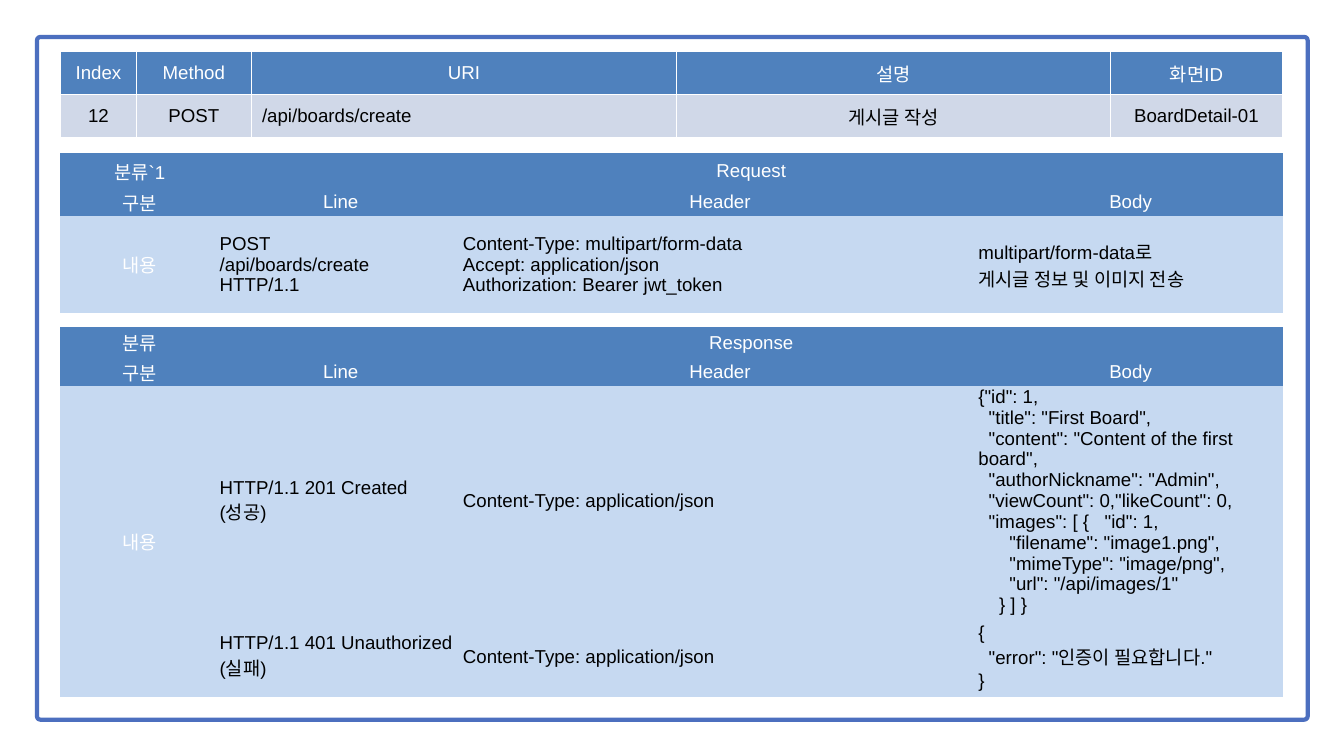
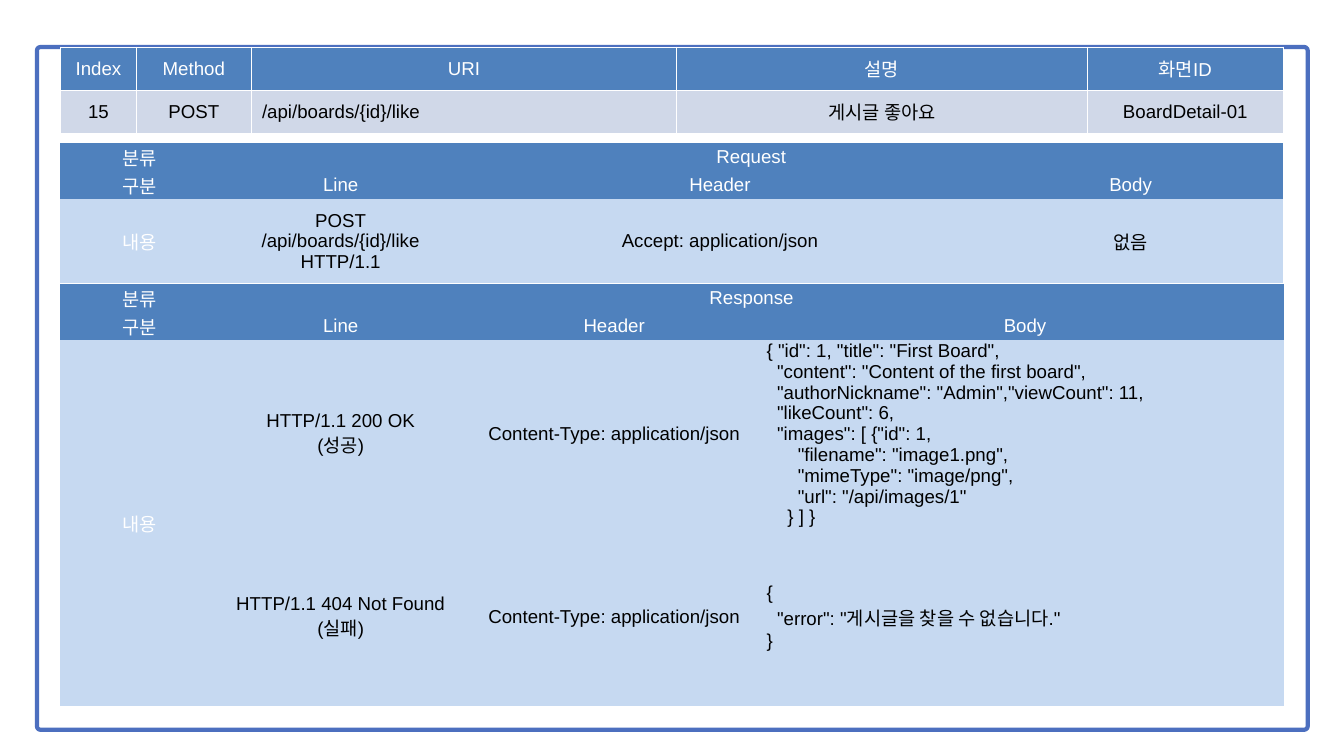
from lxml.etree import SubElement
from pptx import Presentation
from pptx.dml.color import RGBColor
from pptx.enum.shapes import MSO_SHAPE
from pptx.enum.text import MSO_ANCHOR, PP_ALIGN
from pptx.oxml.ns import qn
from pptx.util import Inches, Pt

WHITE, BLACK, FRAME = "FFFFFF", "000000", "4C6FBF"
HEAD, SUMMARY, CONTENT = "4F81BD", "D0D8E8", "C6D9F1"
LEFT, WIDTH = 0.9, 18.21
FRAME_BOX = dict(left=0.55, width=18.91, height=10.16)
SUMMARY_HEAD = ["Index", "Method", "URI", "설명", "화면ID"]
PART_HEAD = ["구분", "Line", "Header", "Body"]
WIDE_HEADER = [2.36, 3.62, 7.67, 4.55]
WIDE_BODY = [2.36, 3.62, 4.52, 7.71]
JSON_TYPE = "Content-Type: application/json"

PAGES = [
    dict(
        frame_top=0.55, align=PP_ALIGN.LEFT,
        summary=dict(top=0.77, cols=[1.13, 1.71, 6.33, 6.45, 2.57],
                     row=["12", "POST", "/api/boards/create", "게시글 작성", "BoardDetail-01"]),
        parts=[
            dict(label="분류`1", name="Request", top=2.28, height=2.34,
                 cols=WIDE_HEADER, rows=[0.52, 0.39, 1.44],
                 content=[["POST\n/api/boards/create\nHTTP/1.1",
                           "Content-Type: multipart/form-data\nAccept: application/json\n"
                           "Authorization: Bearer jwt_token",
                           "multipart/form-data로\n게시글 정보 및 이미지 전송"]]),
            dict(label="분류", name="Response", top=4.86, height=5.7,
                 cols=WIDE_HEADER, rows=[0.47, 0.35, 3.32, 1.21],
                 content=[["HTTP/1.1 201 Created\n(성공)", JSON_TYPE, """{"id": 1,
  "title": "First Board",
  "content": "Content of the first board",
  "authorNickname": "Admin",
  "viewCount": 0,"likeCount": 0,
  "images": [ {   "id": 1,
      "filename": "image1.png",
      "mimeType": "image/png",
      "url": "/api/images/1"
    } ] }"""],
                          ["HTTP/1.1 401 Unauthorized\n(실패)", JSON_TYPE, """{
  "error": "인증이 필요합니다."
}"""]]),
        ]),
    dict(
        frame_top=0.7, align=PP_ALIGN.CENTER,
        summary=dict(top=0.7, cols=[1.13, 1.71, 6.33, 6.11, 2.92],
                     row=["15", "POST", "/api/boards/{id}/like", "게시글 좋아요", "BoardDetail-01"]),
        parts=[
            dict(label="분류", name="Request", top=2.13, height=1.95,
                 cols=WIDE_HEADER, rows=[0.25, 0.23, 1.26],
                 content=[["POST\n/api/boards/{id}/like HTTP/1.1",
                           "Accept: application/json", "없음"]]),
            dict(label="분류", name="Response", top=4.23, height=6.34,
                 cols=WIDE_BODY, rows=[0.33, 0.33, 2.65, 2.65],
                 content=[["HTTP/1.1 200 OK\n(성공)", JSON_TYPE, """{ "id": 1, "title": "First Board",
  "content": "Content of the first board",
  "authorNickname": "Admin","viewCount": 11,
  "likeCount": 6,
  "images": [ {"id": 1,
      "filename": "image1.png",
      "mimeType": "image/png",
      "url": "/api/images/1"
    } ] }"""],
                          ["HTTP/1.1 404 Not Found\n(실패)", JSON_TYPE, """{
  "error": "게시글을 찾을 수 없습니다."
}"""]]),
        ]),
]


def rgb(value):
    return RGBColor.from_string(value)


def set_borders(cell, width):
    """Give all four sides a white line, or none when width is 0."""
    tcPr = cell._tc.get_or_add_tcPr()
    for i, side in enumerate("LRTB"):
        ln = SubElement(tcPr, qn(f"a:ln{side}"), w=str(Pt(width)))
        if width:
            SubElement(SubElement(ln, qn("a:solidFill")), qn("a:srgbClr"), val=WHITE)
        else:
            SubElement(ln, qn("a:noFill"))
        tcPr.insert(i, ln)


def style_cell(cell, text, fill, color=WHITE, align=PP_ALIGN.CENTER,
               margins=(0.01, 0.01, 0.01, 0), border=0):
    cell.text = text
    cell.vertical_anchor = MSO_ANCHOR.MIDDLE
    for side, margin in zip(("left", "top", "right", "bottom"), margins):
        setattr(cell, f"margin_{side}", Inches(margin))
    cell.fill.solid()
    cell.fill.fore_color.rgb = rgb(fill)
    set_borders(cell, border)
    for p in cell.text_frame.paragraphs:
        p.alignment = align
        for r in p.runs:
            r.font.name, r.font.size = "Arial", Pt(20)
            r.font.color.rgb = rgb(color)


def add_grid(s, top, height, cols, rows):
    shape = s.shapes.add_table(len(rows), len(cols), Inches(LEFT), Inches(top),
                               Inches(WIDTH), Inches(height))
    for col, width in zip(shape.table.columns, cols):
        col.width = Inches(width)
    for row, row_height in zip(shape.table.rows, rows):
        row.height = Inches(row_height)
    shape.height = Inches(height)
    return shape.table


def add_frame(s, top):
    box = s.shapes.add_shape(MSO_SHAPE.ROUNDED_RECTANGLE, Inches(FRAME_BOX["left"]), Inches(top),
                             Inches(FRAME_BOX["width"]), Inches(FRAME_BOX["height"]))
    box.adjustments[0] = 0.005
    box.shadow.inherit = False
    box.fill.solid()
    box.fill.fore_color.rgb = rgb(WHITE)
    box.line.color.rgb = rgb(FRAME)
    box.line.width = Pt(4.5)


def add_part(s, part, align):
    """Add a request or response table."""
    table = add_grid(s, part["top"], part["height"], part["cols"], part["rows"])
    for r, texts in enumerate([[part["label"], part["name"], "", ""], PART_HEAD]):
        for c, text in enumerate(texts):
            style_cell(table.cell(r, c), text, HEAD)
    table.cell(0, 1).merge(table.cell(0, 3))
    for r, texts in enumerate(part["content"], 2):
        style_cell(table.cell(r, 0), "내용" if r == 2 else "", CONTENT)
        for c, text in enumerate(texts, 1):
            text_align = PP_ALIGN.LEFT if text.startswith("{") else align
            style_cell(table.cell(r, c), text, CONTENT, BLACK, text_align)
    if len(part["content"]) > 1:
        table.cell(2, 0).merge(table.cell(len(part["rows"]) - 1, 0))


def add_summary(s, summary):
    table = add_grid(s, summary["top"], 1.28, summary["cols"], [0.64, 0.64])
    look = dict(margins=(0.16, 0.08, 0.16, 0.08), border=1)
    for c, (head, text) in enumerate(zip(SUMMARY_HEAD, summary["row"])):
        style_cell(table.cell(0, c), head, HEAD, **look)
        align = PP_ALIGN.LEFT if head == "URI" else PP_ALIGN.CENTER
        style_cell(table.cell(1, c), text, SUMMARY, BLACK, align, **look)


def main():
    prs = Presentation()
    prs.slide_width, prs.slide_height = Inches(20), Inches(11.25)
    for page in PAGES:
        s = prs.slides.add_slide(prs.slide_layouts[6])
        add_frame(s, page["frame_top"])
        for part in page["parts"]:
            add_part(s, part, page["align"])
        add_summary(s, page["summary"])
    prs.save("out.pptx")


if __name__ == "__main__":
    main()
